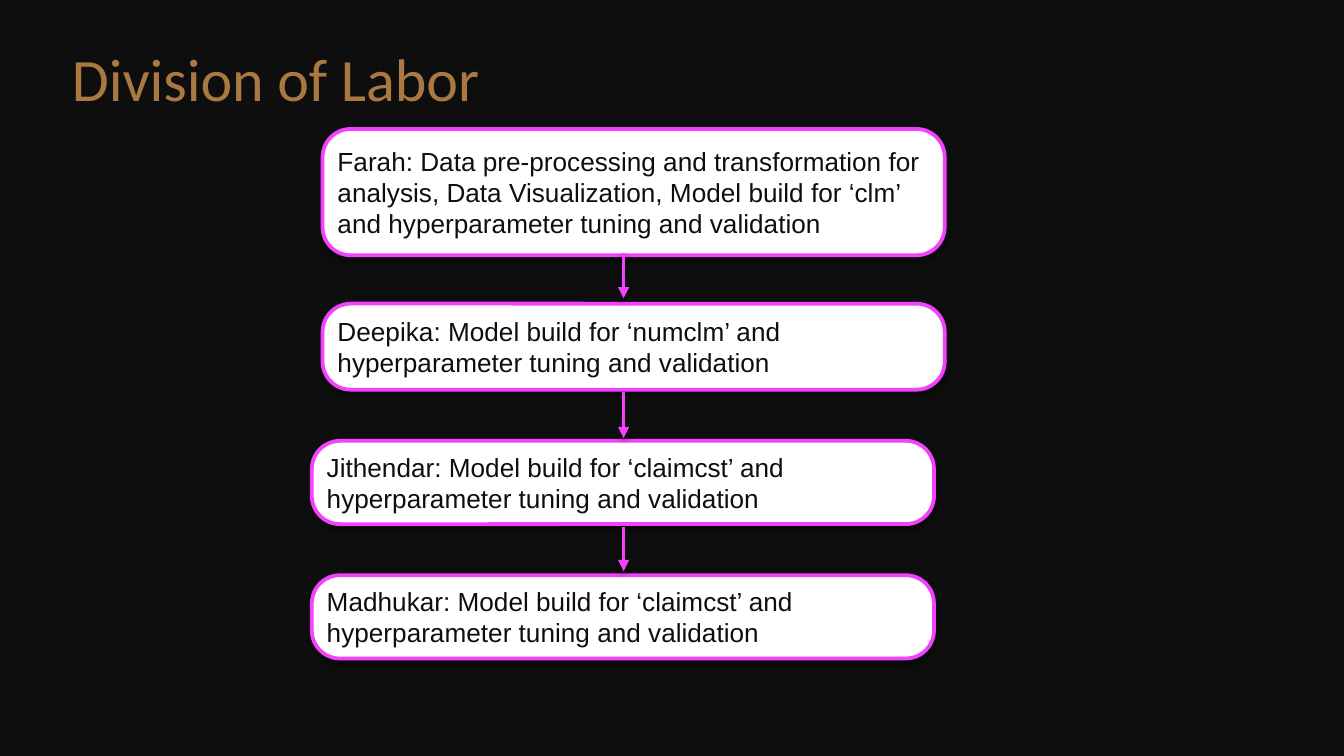
"""Build the Division of Labor slide: four task boxes linked by arrows."""
from lxml import etree
from pptx import Presentation
from pptx.dml.color import RGBColor as RGB
from pptx.enum.shapes import MSO_CONNECTOR as LINK, MSO_SHAPE as SHAPE
from pptx.enum.text import MSO_ANCHOR as ANCHOR, PP_ALIGN as ALIGN
from pptx.oxml import parse_xml
from pptx.oxml.ns import nsdecls, qn
from pptx.util import Inches, Pt

DARK, PINK, GOLD, WHITE = "0E0E0E", "F341FF", "AA7942", "FFFFFF"
hue = RGB.from_string


def write(shape, text, size=14, font="Arial", color=DARK, align=ALIGN.LEFT,
          anchor=ANCHOR.MIDDLE, pad=0.05):
    """Put formatted text, one paragraph per line, into a shape."""
    frame = shape.text_frame
    frame.word_wrap = True
    frame.vertical_anchor = anchor
    frame.margin_left = frame.margin_right = Inches(pad)
    frame.margin_top = frame.margin_bottom = Inches(pad)
    frame.text = text
    for para in frame.paragraphs:
        para.alignment = align
        para.font.size, para.font.name = Pt(size), font
        para.font.color.rgb = hue(color)


def trim(shape, alpha):
    """Give a shape a pink outline and a soft shadow below it."""
    shape.line.color.rgb = hue(PINK)
    shape.line.width = Pt(2)
    shape._element.spPr.append(parse_xml(
        f'<a:effectLst {nsdecls("a")}><a:outerShdw blurRad="38100" dist="22860" '
        f'dir="5400000" rotWithShape="0"><a:srgbClr val="000000">'
        f'<a:alpha val="{alpha}000"/></a:srgbClr></a:outerShdw></a:effectLst>'))


deck = Presentation()
deck.slide_width, deck.slide_height = Inches(10), Inches(10 * 9 / 16)
slide = deck.slides.add_slide(deck.slide_layouts[6])
slide.background.fill.solid()
slide.background.fill.fore_color.rgb = hue(DARK)

title = slide.shapes.add_textbox(Inches(-0.03), Inches(0.31), Inches(4.16), Inches(0.53))
write(title, "Division of Labor", size=32.2, font="Calibri", color=GOLD,
      align=ALIGN.CENTER, anchor=ANCHOR.TOP, pad=0)

WIDE, ROUND, MID = 4.63, 0.21, 4.64
tasks = [
    (2.4, 0.96, 0.94, "Farah: Data pre-processing and transformation for analysis, "
     "Data Visualization, Model build for ‘clm’ and hyperparameter tuning and validation"),
    (2.4, 2.26, 0.64, "Deepika: Model build for ‘numclm’ and hyperparameter tuning and validation"),
    (2.32, 3.28, 0.62, "Jithendar: Model build for ‘claimcst’ and hyperparameter tuning and validation"),
    (2.32, 4.28, 0.62, "Madhukar: Model build for ‘claimcst’ and\nhyperparameter tuning and validation"),
]
for left, top, high, text in tasks:
    box = slide.shapes.add_shape(SHAPE.ROUNDED_RECTANGLE, Inches(left), Inches(top),
                                 Inches(WIDE), Inches(high))
    box.adjustments[0] = ROUND / high
    box.fill.solid()
    box.fill.fore_color.rgb = hue(WHITE)
    trim(box, 35)
    write(box, text)

for start, end in [(1.88, 2.22), (2.92, 3.26), (3.92, 4.25)]:
    arrow = slide.shapes.add_connector(LINK.STRAIGHT, Inches(MID), Inches(start),
                                       Inches(MID), Inches(end))
    trim(arrow, 38)
    etree.SubElement(arrow.line._get_or_add_ln(), qn("a:tailEnd"), type="triangle")

deck.save("out.pptx")
